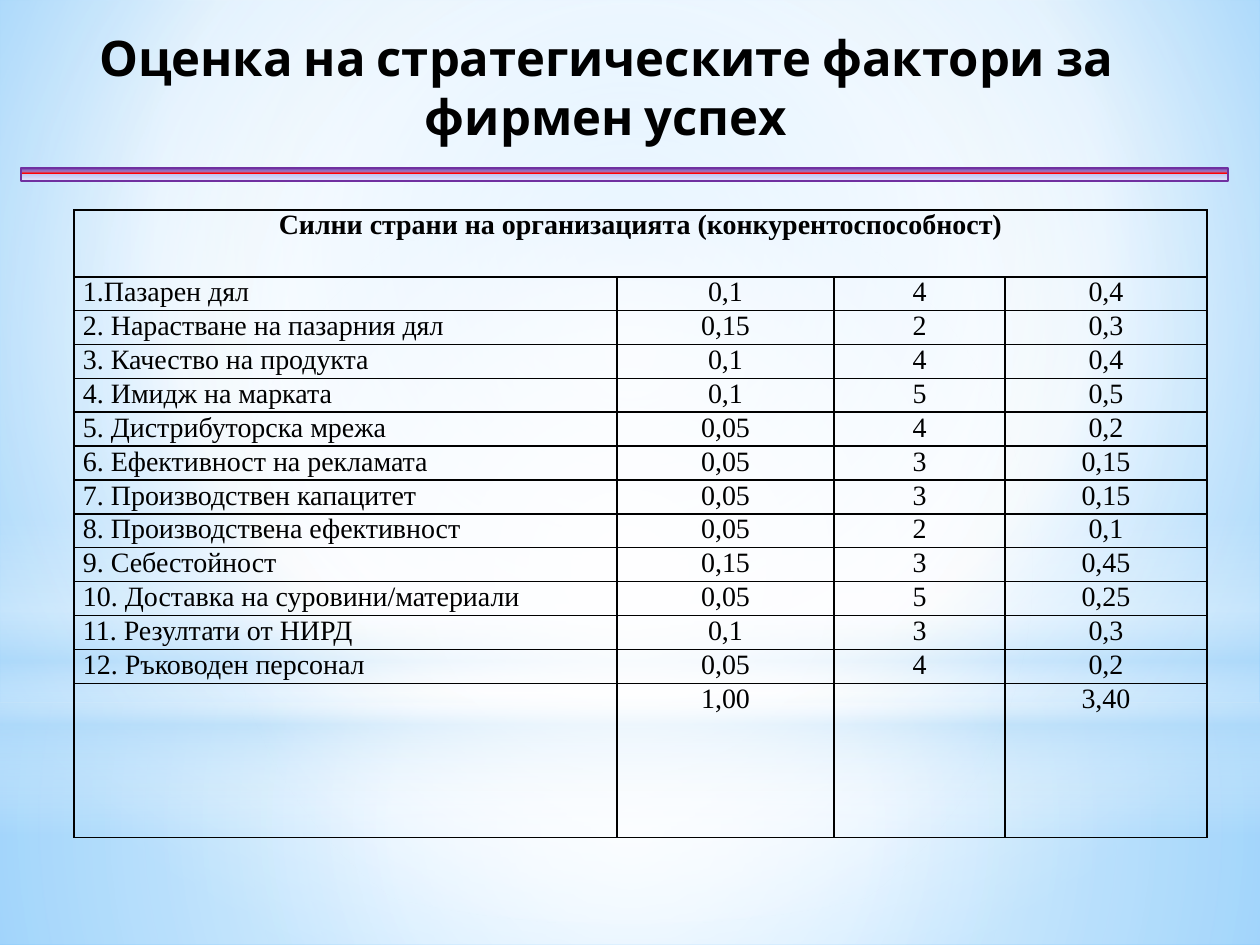
from lxml.etree import SubElement
from pptx import Presentation
from pptx.dml.color import RGBColor as Color
from pptx.enum.shapes import MSO_SHAPE as Shape
from pptx.enum.text import MSO_ANCHOR as Anchor, PP_ALIGN as Align
from pptx.oxml.ns import qn
from pptx.util import Emu, Pt

BLACK = Color(0x00, 0x00, 0x00)
WHITE = Color(0xFF, 0xFF, 0xFF)
SKY = Color(0x9E, 0xD5, 0xFF)
BLUE = Color(0x5B, 0xB9, 0xFF)
PALE_BLUE = Color(0xB4, 0xDC, 0xFA)
PURPLE = Color(0x70, 0x30, 0xA0)
VIOLET = Color(0x98, 0x7C, 0xC9)
RED = Color(0xFF, 0x00, 0x00)
LAVENDER = Color(0xC1, 0xC7, 0xF2)
MIST = Color(0xE1, 0xE3, 0xF8)

CENTER = (50, 50, 50, 50)
TITLE = "Оценка на стратегическите фактори за фирмен успех"
TABLE_HEADING = "Силни страни на организацията (конкурентоспособност)"
FACTORS = [
    ("1.Пазарен дял", "0,1", "4", "0,4"),
    ("2. Нарастване на пазарния дял", "0,15", "2", "0,3"),
    ("3. Качество на продукта", "0,1", "4", "0,4"),
    ("4. Имидж на марката", "0,1", "5", "0,5"),
    ("5. Дистрибуторска мрежа", "0,05", "4", "0,2"),
    ("6. Ефективност на рекламата", "0,05", "3", "0,15"),
    ("7. Производствен капацитет", "0,05", "3", "0,15"),
    ("8. Производствена ефективност", "0,05", "2", "0,1"),
    ("9. Себестойност", "0,15", "3", "0,45"),
    ("10. Доставка на суровини/материали", "0,05", "5", "0,25"),
    ("11. Резултати от НИРД", "0,1", "3", "0,3"),
    ("12. Ръководен персонал", "0,05", "4", "0,2"),
]
TOTALS = ("", "1,00", "", "3,40")
COLUMN_WIDTHS = (543, 217, 171, 202)
HEADING_HEIGHT, FACTORS_HEIGHT, TOTALS_HEIGHT = 67, 404, 154


def px(length):
    return Emu(round(length * 914400 / 126))


class SlideBuilder:
    title_font = "Cabin"
    table_font = "Times New Roman"

    def __init__(self, deck):
        self.slide = deck.slides.add_slide(deck.slide_layouts[6])

    def gradient(self, fill, properties, stops, focus=None):
        fill.solid()
        solid = properties.find(qn("a:solidFill"))
        gradient = properties.makeelement(qn("a:gradFill"), {"rotWithShape": "1"})
        stop_list = SubElement(gradient, qn("a:gsLst"))
        for position, color, opacity in stops:
            stop = SubElement(stop_list, qn("a:gs"), pos=str(position * 1000))
            tint = SubElement(stop, qn("a:srgbClr"), val=str(color))
            if opacity < 100:
                SubElement(tint, qn("a:alpha"), val=str(opacity * 1000))
        if focus:
            shading = SubElement(gradient, qn("a:path"), {"path": "circle"})
            sides = {side: str(value * 1000) for side, value in zip("ltrb", focus)}
            SubElement(shading, qn("a:fillToRect"), sides)
        else:
            SubElement(gradient, qn("a:lin"), ang="5400000", scaled="0")
        properties.replace(solid, gradient)

    def background(self, stops, focus):
        fill = self.slide.background.fill
        fill.solid()
        properties = self.slide.element.find(".//" + qn("p:bgPr"))
        self.gradient(fill, properties, stops, focus)

    def shape(self, kind, frame, stops, focus=None, line=None):
        shape = self.slide.shapes.add_shape(kind, *map(px, frame))
        shape.shadow.inherit = False
        self.gradient(shape.fill, shape.element.spPr, stops, focus)
        if line:
            shape.line.color.rgb = line
            shape.line.width = Pt(1.25)
        else:
            shape.line.fill.background()

    def text(self, para, text, font, size, bold, align):
        para.text = text
        para.alignment = align
        para.font.name = font
        para.font.size = Pt(size)
        para.font.bold = bold
        para.font.color.rgb = BLACK

    def title(self, frame, text):
        box = self.slide.shapes.add_textbox(*map(px, frame))
        box.text_frame.word_wrap = True
        box.text_frame.vertical_anchor = Anchor.MIDDLE
        self.text(box.text_frame.paragraphs[0], text, self.title_font, 28, True, Align.CENTER)

    def cell(self, cell, text, bold=False, align=Align.CENTER):
        cell.margin_left = cell.margin_right = px(9)
        cell.margin_top = cell.margin_bottom = 0
        self.text(cell.text_frame.paragraphs[0], text, self.table_font, 16, bold, align)
        properties = cell._tc.get_or_add_tcPr()
        for side in ("a:lnL", "a:lnR", "a:lnT", "a:lnB"):
            border = SubElement(properties, qn(side), w=str(Pt(1)))
            paint = SubElement(border, qn("a:solidFill"))
            SubElement(paint, qn("a:srgbClr"), val=str(BLACK))
        cell.fill.background()

    def table(self, left, top, heading, rows, widths, heights):
        frame = self.slide.shapes.add_table(
            len(heights), len(widths), px(left), px(top), px(sum(widths)), px(sum(heights)))
        table = frame.table
        table.first_row = table.horz_banding = False
        for column, width in zip(table.columns, widths):
            column.width = px(width)
        for row, height in zip(table.rows, heights):
            row.height = px(height)
        table.cell(0, 0).merge(table.cell(0, len(widths) - 1))
        for column in range(len(widths)):
            self.cell(table.cell(0, column), "" if column else heading, bold=True)
        for row, values in enumerate(rows, 1):
            for column, value in enumerate(values):
                align = Align.CENTER if column else Align.JUSTIFY
                self.cell(table.cell(row, column), value, align=align)


def main():
    deck = Presentation()
    deck.slide_width, deck.slide_height = px(1260), px(945)
    page = SlideBuilder(deck)

    page.background([(0, SKY, 100), (60, WHITE, 100), (100, BLUE, 100)], (20, 10, 20, 60))
    page.shape(Shape.RECTANGLE, (0, 703, 1260, 242),
               [(0, WHITE, 91), (37, WHITE, 76), (100, PALE_BLUE, 79)], CENTER)
    page.shape(Shape.RECTANGLE, (0, 0, 1260, 703),
               [(0, WHITE, 89), (48, WHITE, 62), (100, PALE_BLUE, 79)], CENTER)
    page.shape(Shape.RECTANGLE, (0, 519, 1260, 315),
               [(0, WHITE, 0), (29, WHITE, 30), (45, PALE_BLUE, 40),
                (55, WHITE, 26), (65, PALE_BLUE, 60), (100, WHITE, 0)])
    page.shape(Shape.OVAL, (0, 220, 1260, 703), [(0, WHITE, 100), (56, WHITE, 0)], CENTER)
    page.shape(Shape.RECTANGLE, (21, 168, 1207, 13),
               [(0, PURPLE, 100), (25, VIOLET, 100), (43, RED, 100),
                (50, LAVENDER, 100), (100, MIST, 100)], line=PURPLE)

    page.title((35, 21, 1142, 131), TITLE)
    count = len(FACTORS)
    edges = [FACTORS_HEIGHT * index // count for index in range(count + 1)]
    factor_heights = [bottom - top for top, bottom in zip(edges, edges[1:])]
    page.table(74, 210, TABLE_HEADING, FACTORS + [TOTALS], COLUMN_WIDTHS,
               [HEADING_HEIGHT, *factor_heights, TOTALS_HEIGHT])
    deck.save("out.pptx")


if __name__ == "__main__":
    main()
